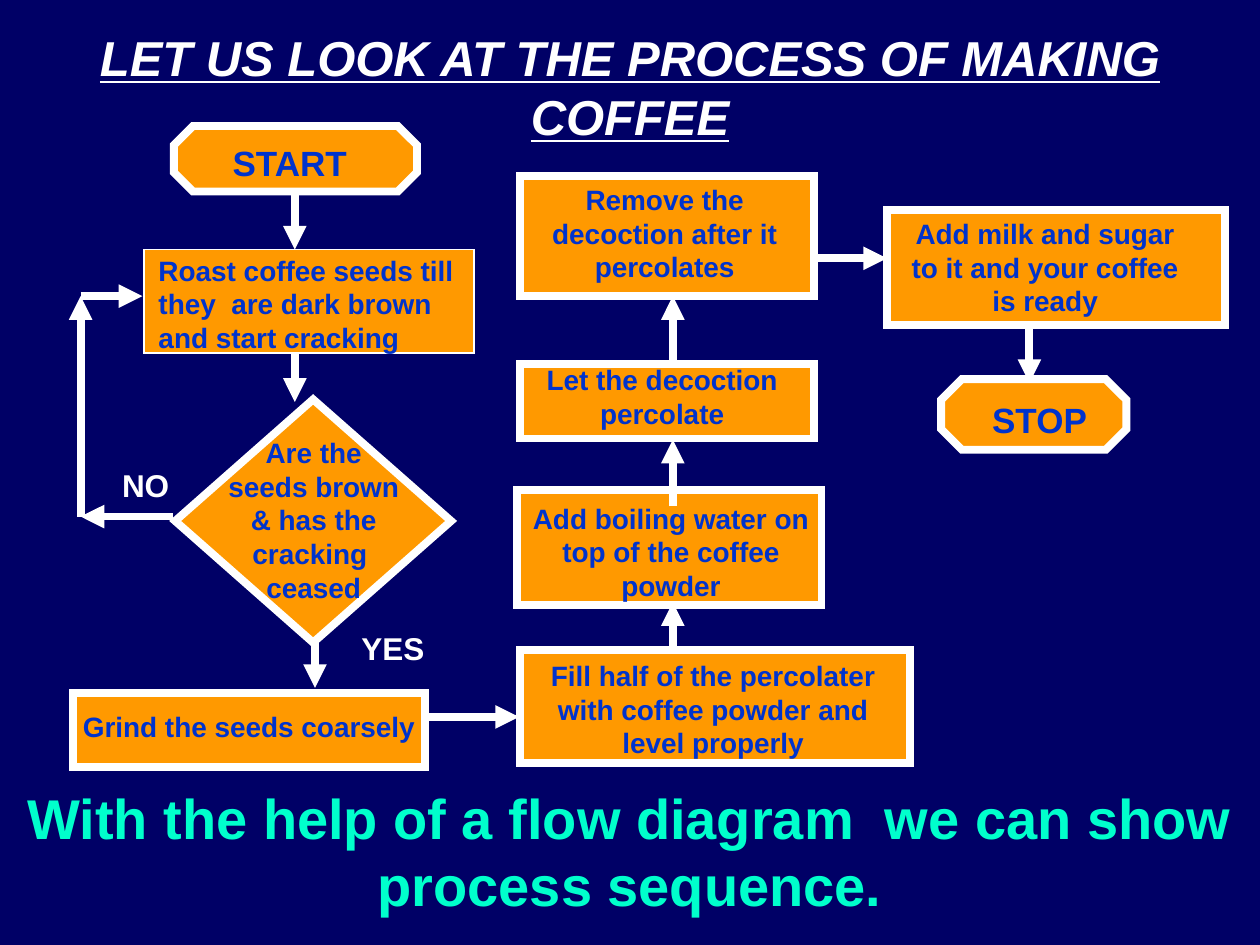
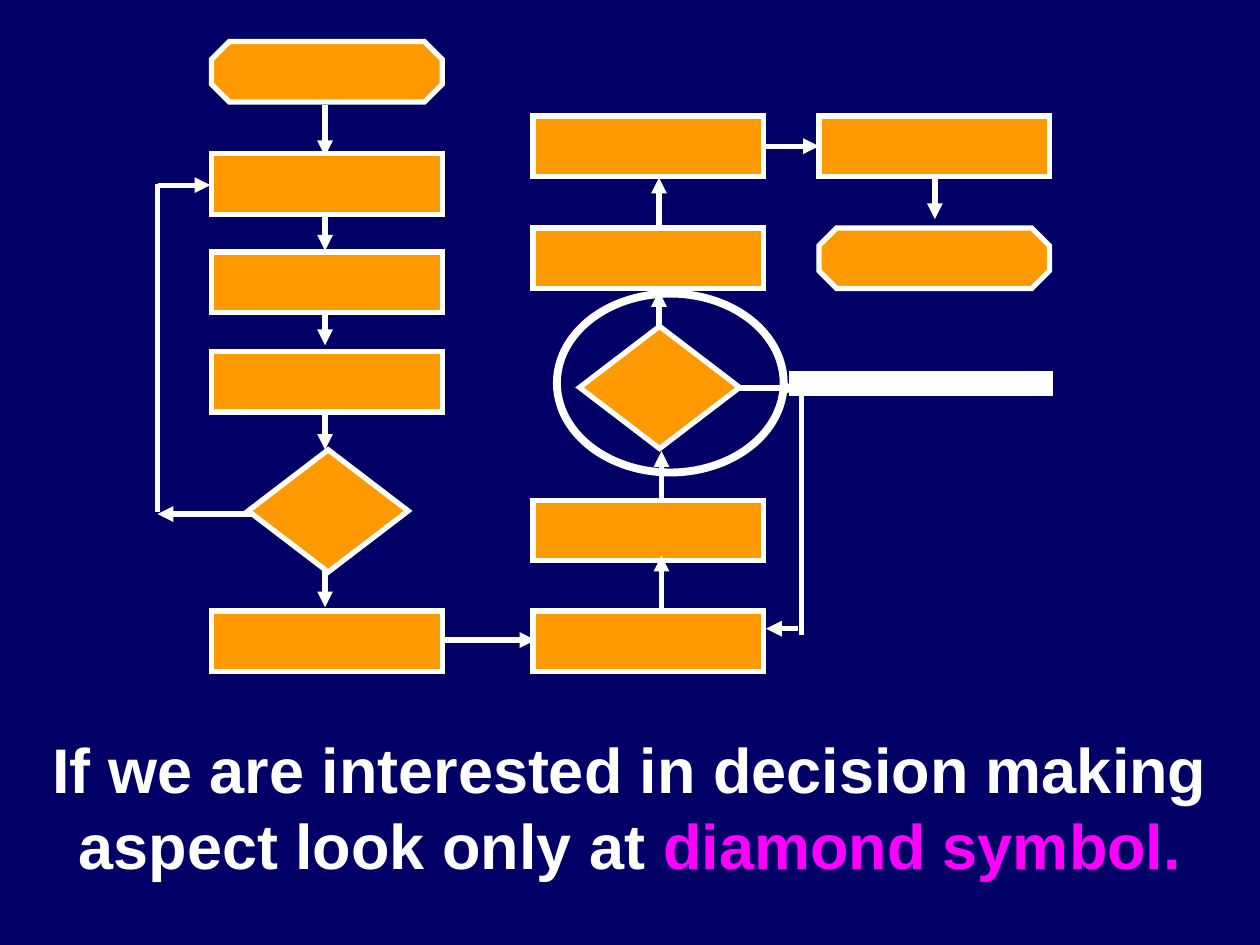
"""Build two slides that show coffee making as a flow diagram."""
from lxml import etree
from pptx import Presentation
from pptx.dml.color import RGBColor
from pptx.enum import shapes, text
from pptx.oxml.ns import qn
from pptx.util import Inches, Pt

NAVY, ORANGE, WHITE = "000066", "FF9900", "FFFFFF"
BLUE, AQUA, MAGENTA = "0033CC", "00FFCC", "FF00FF"
FONT = "Arial"
RECT = shapes.MSO_SHAPE.RECTANGLE
OCTAGON = shapes.MSO_SHAPE.OCTAGON
DIAMOND = shapes.MSO_SHAPE.DIAMOND
OVAL = shapes.MSO_SHAPE.OVAL
LEFT, CENTER = text.PP_ALIGN.LEFT, text.PP_ALIGN.CENTER

HEADING = "LET US LOOK AT THE PROCESS OF MAKING COFFEE"
HEADING_FRAME = (0, 0.17, 10, 1.04)

# symbol, symbol frame, outline, label paragraphs, label frame, size, alignment
STEPS = [
    (OCTAGON, (1.38, 1, 1.93, 0.52), 4.5,
     ["START"], (1.52, 1.07, 1.56, 0.43), 20, CENTER),
    (RECT, (1.14, 1.98, 2.62, 0.82), 1,
     ["Roast coffee seeds till they  are dark brown and start cracking"],
     (1.16, 1.96, 2.73, 0.9), 16, LEFT),
    (DIAMOND, (1.39, 3.17, 2.19, 1.93), 4.5,
     ["Are the", "seeds brown & has the cracking  ceased"],
     (1.64, 3.41, 1.7, 1.43), 16, CENTER),
    (RECT, (0.58, 5.5, 2.79, 0.59), 4.5,
     ["Grind the seeds coarsely"], (0.56, 5.58, 3.03, 0.37), 16, LEFT),
    (RECT, (4.13, 5.16, 3.09, 0.9), 4.5,
     ["Fill half of the percolater with coffee powder and level properly"],
     (4.19, 5.18, 2.94, 0.9), 16, CENTER),
    (RECT, (4.1, 3.89, 2.42, 0.91), 4.5,
     ["Add boiling water on top of the coffee powder"],
     (4.08, 3.93, 2.49, 0.9), 16, CENTER),
    (RECT, (4.13, 2.89, 2.33, 0.59), 4.5,
     ["Let the decoction percolate"], (4.08, 2.83, 2.35, 0.63), 16, CENTER),
    (RECT, (4.13, 1.4, 2.33, 0.95), 4.5,
     ["Remove the decoction after it percolates"],
     (4.1, 1.4, 2.35, 0.9), 16, CENTER),
    (RECT, (7.04, 1.67, 2.68, 0.91), 4.5,
     ["Add milk and sugar to it and your coffee is ready"],
     (7.08, 1.67, 2.43, 0.9), 16, CENTER),
    (OCTAGON, (7.47, 3.01, 1.47, 0.56), 4.5,
     ["STOP"], (7.44, 3.11, 1.62, 0.43), 20, CENTER),
]
STEP_ARROWS = [
    (2.34, 1.52, 2.34, 1.98), (2.34, 2.81, 2.34, 3.19),
    (2.5, 5.08, 2.5, 5.46), (1.37, 4.1, 0.64, 4.1),
    (0.64, 4.1, 0.64, 2.35), (0.64, 2.35, 1.13, 2.35),
    (3.39, 5.69, 4.12, 5.69), (5.34, 5.16, 5.34, 4.78),
    (5.34, 4.02, 5.34, 3.49), (5.34, 2.88, 5.34, 2.35),
    (6.47, 2.05, 7.04, 2.05), (8.17, 2.58, 8.17, 3.04),
]
ANSWERS = [("NO", (0.87, 3.65, 0.58, 0.4)), ("YES", (2.77, 4.94, 0.7, 0.4))]
SEQUENCE_NOTE = "With the help of a flow diagram  we can show process sequence."

BOX_SIZE = (1.83, 0.48)
DIAMOND_SIZE = (1.27, 0.97)
BOX_COLUMNS = [
    (1.68, [(OCTAGON, 0.33), (RECT, 1.22), (RECT, 2), (RECT, 2.79), (RECT, 4.85)]),
    (4.23, [(RECT, 0.92), (RECT, 1.81), (RECT, 3.97), (RECT, 4.85)]),
    (6.5, [(RECT, 0.92), (OCTAGON, 1.81)]),
]
DECISIONS = [(1.97, 3.57), (4.6, 2.59)]
ARROWS_BEHIND = [
    (5.23, 2.72, 5.23, 2.31), (5.25, 3.99, 5.25, 3.58),
    *[(2.58, top, 2.58, top + 0.41) for top in (1.58, 2.33, 3.16, 4.41)],
]
LOOP_LINES = [(1.25, 4.06, 1.25, 1.46), (6.36, 3.08, 6.36, 5.04)]
ARROWS_IN_FRONT = [
    (2.58, 0.83, 2.58, 1.24), (2, 4.08, 1.25, 4.08),
    (1.25, 1.47, 1.67, 1.47), (3.5, 5.08, 4.25, 5.08),
    (5.25, 4.83, 5.25, 4.41), (5.23, 1.83, 5.23, 1.41),
    (6.08, 1.16, 6.5, 1.16), (7.42, 1.41, 7.42, 1.74),
    (5.83, 3.08, 6.33, 3.08), (6.33, 4.99, 6.08, 4.99),
]
DECISION_RING = (4.42, 2.33, 1.8, 1.42)
DECISION_BAR = (6.29, 2.98, 2.04, 0.13)
DECISION_NOTE = [
    ("If we are interested in decision making aspect look only at ", WHITE),
    ("diamond symbol.", MAGENTA),
]


def color(value):
    return RGBColor.from_string(value)


def inches(values):
    return [Inches(value) for value in values]


def add_symbol(slide, kind, frame, outline, fill=ORANGE):
    symbol = slide.shapes.add_shape(kind, *inches(frame))
    symbol.shadow.inherit = False
    if fill:
        symbol.fill.solid()
        symbol.fill.fore_color.rgb = color(fill)
    else:
        symbol.fill.background()
    symbol.line.color.rgb = color(WHITE)
    symbol.line.width = Pt(outline)
    ln = symbol.line._get_or_add_ln()
    etree.SubElement(ln, qn("a:miter"), lim="800000")


def add_lines(slide, routes, width, arrow=True):
    for route in routes:
        line = slide.shapes.add_connector(
            shapes.MSO_CONNECTOR.STRAIGHT, *inches(route))
        line.line.color.rgb = color(WHITE)
        line.line.width = Pt(width)
        if arrow:
            ln = line.line._get_or_add_ln()
            etree.SubElement(ln, qn("a:tailEnd"), type="triangle")
        etree.SubElement(line._element.spPr, qn("a:effectLst"))


def write(box, paragraphs, size, align=CENTER, wrap=True, **style):
    """Fill a box with paragraphs, each a list of (words, colour) runs."""
    frame = box.text_frame
    frame.word_wrap = wrap
    frame.auto_size = text.MSO_AUTO_SIZE.SHAPE_TO_FIT_TEXT
    frame.vertical_anchor = text.MSO_ANCHOR.TOP
    for index, runs in enumerate(paragraphs):
        paragraph = frame.add_paragraph() if index else frame.paragraphs[0]
        paragraph.alignment = align
        font = paragraph.font
        font.name, font.size, font.bold = FONT, Pt(size), True
        for key, value in style.items():
            setattr(font, key, value)
        for words, ink in runs:
            run = paragraph.add_run()
            run.text = words
            run.font.color.rgb = color(ink)


def add_label(slide, frame, paragraphs, size, **options):
    write(slide.shapes.add_textbox(*inches(frame)), paragraphs, size, **options)


def build_process(slide):
    heading = slide.shapes.title
    heading.left, heading.top, heading.width, heading.height = inches(HEADING_FRAME)
    write(heading, [[(HEADING, WHITE)]], 28, italic=True, underline=True)
    for kind, frame, outline, label, label_frame, size, align in STEPS:
        add_symbol(slide, kind, frame, outline)
        add_label(slide, label_frame, [[(words, BLUE)] for words in label],
                  size, align=align)
    add_lines(slide, STEP_ARROWS, 4.5)
    for answer, frame in ANSWERS:
        add_label(slide, frame, [[(answer, WHITE)]], 18, align=LEFT, wrap=False)
    add_label(slide, (0, 6.17, 10, 1.17), [[(SEQUENCE_NOTE, AQUA)]], 32)


def build_decision(slide):
    add_label(slide, (0, 5.75, 10, 1.3), [DECISION_NOTE], 36)
    add_symbol(slide, OVAL, DECISION_RING, 4.5, fill=None)
    add_symbol(slide, RECT, DECISION_BAR, 4.5, fill=WHITE)
    add_lines(slide, ARROWS_BEHIND, 3)
    for left, boxes in BOX_COLUMNS:
        for kind, top in boxes:
            add_symbol(slide, kind, (left, top, *BOX_SIZE), 3)
    for corner in DECISIONS:
        add_symbol(slide, DIAMOND, (*corner, *DIAMOND_SIZE), 3)
    add_lines(slide, LOOP_LINES, 3, arrow=False)
    add_lines(slide, ARROWS_IN_FRONT, 3)


def main():
    deck = Presentation()
    deck.slide_width, deck.slide_height = Inches(10), Inches(7.5)
    backdrop = deck.slide_master.background.fill
    backdrop.solid()
    backdrop.fore_color.rgb = color(NAVY)
    title_only, blank = deck.slide_layouts[5], deck.slide_layouts[6]
    build_process(deck.slides.add_slide(title_only))
    build_decision(deck.slides.add_slide(blank))
    deck.save("out.pptx")


if __name__ == "__main__":
    main()
